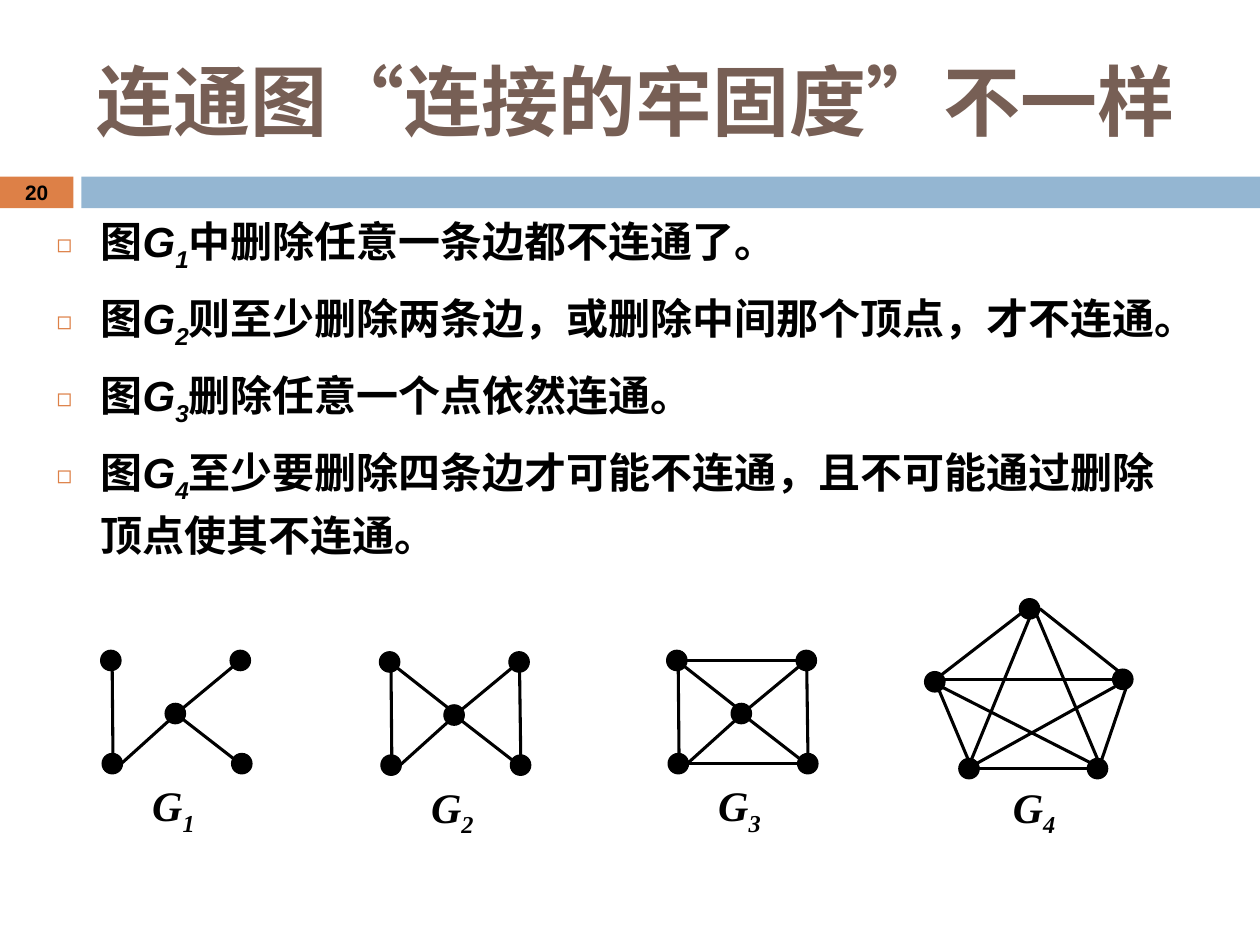
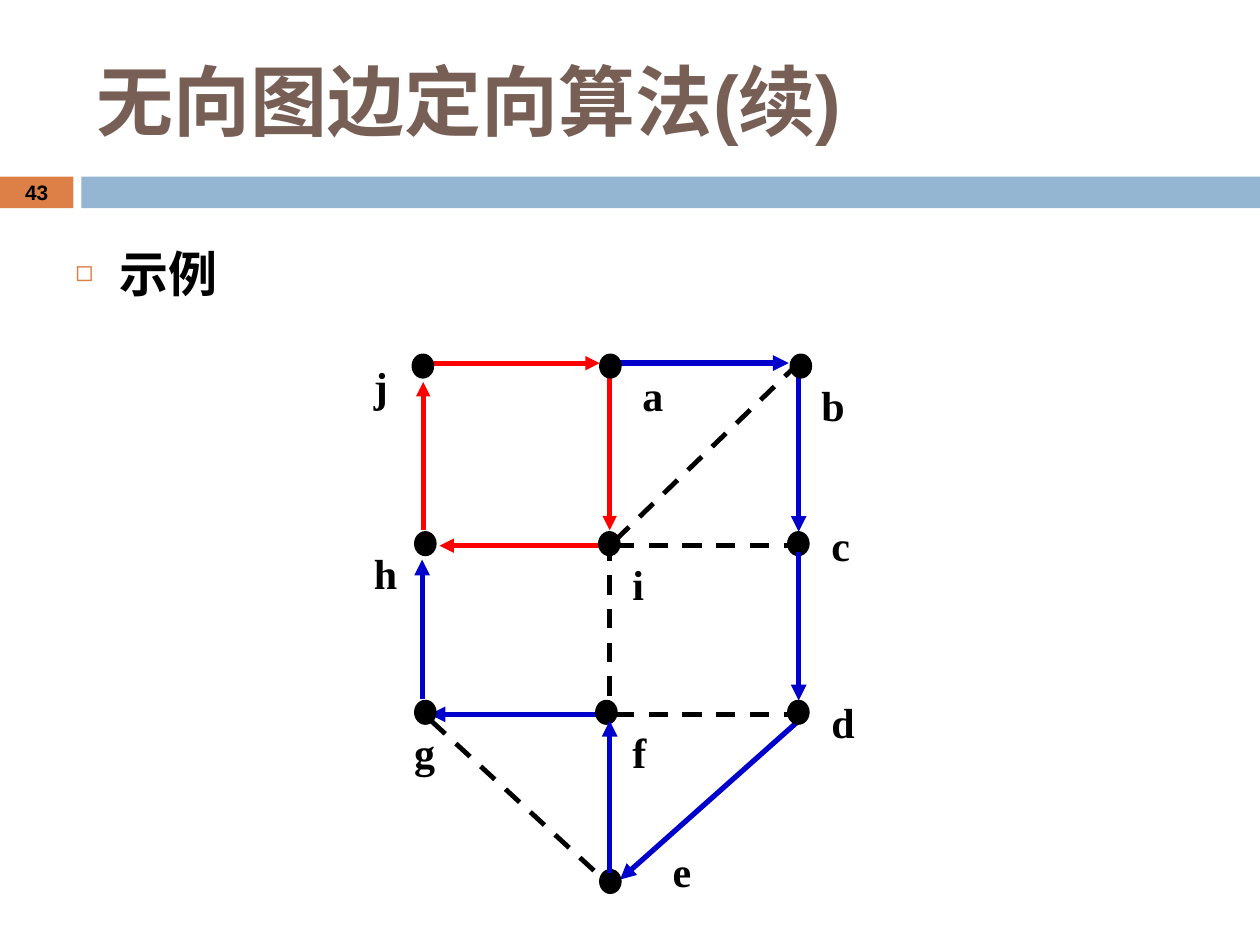
from lxml import etree
from pptx import Presentation
from pptx.dml.color import RGBColor
from pptx.enum.dml import MSO_LINE
from pptx.enum.lang import MSO_LANGUAGE_ID
from pptx.enum.shapes import MSO_CONNECTOR, MSO_SHAPE
from pptx.enum.text import MSO_ANCHOR, PP_ALIGN
from pptx.oxml.ns import qn
from pptx.util import Cm, Pt

STRAIGHT = MSO_CONNECTOR.STRAIGHT
RECTANGLE, OVAL = MSO_SHAPE.RECTANGLE, MSO_SHAPE.OVAL
DISC, CALLOUT = MSO_SHAPE.FLOWCHART_CONNECTOR, MSO_SHAPE.RECTANGULAR_CALLOUT
TOP, MIDDLE = MSO_ANCHOR.TOP, MSO_ANCHOR.MIDDLE
LEFT, CENTER = PP_ALIGN.LEFT, PP_ALIGN.CENTER
DASH = MSO_LINE.DASH
CHINESE = MSO_LANGUAGE_ID.SIMPLIFIED_CHINESE

COLORS = {"orange": "DD8047", "band": "94B6D2", "title": "775F55",
          "black": "000000", "red": "FF0000", "blue": "0000CC"}
SANS, SERIF = "Arial", "Times New Roman"

# Slide 1: statements about the graphs G1 to G4
STATEMENTS = [
    "中删除任意一条边都不连通了。",
    "则至少删除两条边，或删除中间那个顶点，才不连通。",
    "删除任意一个点依然连通。",
    "至少要删除四条边才可能不连通，且不可能通过删除顶点使其不连通。",
]

# Four corners and a centre, with the edges that G1 to G3 choose from
SQUARE_NODES = [(0, 0), (2.61, 0), (0.03, 2.08), (2.64, 2.08), (1.3, 1.07)]
SQUARE_EDGES = {
    "left": (0.25, 2.31, 0.23, 0.1),
    "right": (2.85, 2.29, 2.82, 0.08),
    "top": (0.41, 0.2, 2.62, 0.2),
    "bottom": (0.43, 2.29, 2.64, 2.29),
    "upper left": (0.2, 0.2, 1.37, 1.12),
    "upper right": (2.82, 0.2, 1.65, 1.17),
    "lower left": (0.43, 2.27, 1.65, 1.17),
    "lower right": (1.4, 1.19, 2.97, 2.41),
}
TREE = ["left", "upper right", "lower left", "lower right"]
BOW_TIE = TREE + ["right", "upper left"]
WHEEL = BOW_TIE + ["top", "bottom"]
SQUARE_GRAPHS = [((2.03, 13.11), TREE), ((7.65, 13.14), BOW_TIE),
                 ((13.44, 13.11), WHEEL)]
SQUARE_LABEL = (0.79, 2.48)

# G4, the complete graph on five nodes
PENTAGON_NODES = [(20.55, 12.07), (22.43, 13.49), (21.92, 15.29),
                  (19.33, 15.29), (18.64, 13.54)]
PENTAGON_EDGES = [
    (18.97, 13.61, 20.9, 12.12), (20.96, 12.27, 22.56, 13.54),
    (22.15, 15.49, 22.71, 13.84), (19.71, 15.49, 21.92, 15.49),
    (18.92, 13.89, 19.66, 15.65), (19, 13.69, 22.83, 13.69),
    (19.51, 15.49, 20.75, 12.47), (20.9, 12.4, 22.12, 15.29),
    (18.97, 13.84, 21.97, 15.37), (19.51, 15.49, 22.48, 13.84),
]
PENTAGON_LABEL = (20.17, 15.62)

# Slide 2: each vertex has a node place and a label place
VERTICES = {
    "a": ((12.09, 7.14), (12.7, 7.32)),
    "b": ((15.93, 7.14), (16.31, 7.52)),
    "c": ((15.88, 10.72), (16.51, 10.34)),
    "d": ((15.88, 14.12), (16.51, 13.92)),
    "e": ((12.09, 17.53), (13.31, 16.92)),
    "f": ((12.01, 14.12), (12.5, 14.53)),
    "g": ((8.36, 14.12), (8.1, 14.53)),
    "h": ((8.36, 10.72), (7.29, 10.92)),
    "i": ((12.07, 10.72), (12.5, 11.13)),
    "j": ((8.31, 7.14), (7.29, 7.14)),
}
EDGE_STYLES = {
    "cycle": {"color": "red", "width": 2.75, "arrow": True},
    "path": {"color": "blue", "width": 3, "arrow": True},
    "open": {"color": "black", "width": 2.75, "dashed": True},
}
EDGES_BELOW = {
    "open": [(16.1, 7.32, 12.29, 11), (12.4, 11, 16.03, 11),
             (12.4, 14.4, 16.03, 14.4), (8.69, 14.53, 12.17, 17.73),
             (12.29, 10.92, 12.29, 14.53)],
    "cycle": [(12.5, 11, 8.86, 11), (8.53, 10.69, 8.53, 7.7),
              (8.69, 7.32, 12.09, 7.32), (12.29, 7.49, 12.29, 10.69)],
    "path": [(12.5, 7.32, 15.9, 7.32), (16.1, 7.52, 16.1, 10.72),
             (16.1, 14.53, 12.5, 17.73), (12.29, 14.4, 8.66, 14.4),
             (8.51, 14.1, 8.51, 11.28)],
}
EDGES_ABOVE = {"path": [(16.1, 11.13, 16.1, 14.12),
                        (12.29, 17.6, 12.29, 14.53)]}


def rgb(name):
    return RGBColor.from_string(COLORS[name])


def add_span(para, text, *, size, font=SANS, color="black", italic=False,
             subscript=False):
    """Append bold text to a paragraph."""
    span = para.add_run()
    span.text = text
    span.font.name, span.font.size = font, Pt(size)
    span.font.bold, span.font.italic = True, italic
    span.font.color.rgb = rgb(color)
    span.font.language_id = CHINESE
    if subscript:
        span._r.get_or_add_rPr().set("baseline", "-25000")


def add_graph_name(para, number, font=SANS):
    add_span(para, "G", size=24, font=font, italic=True)
    add_span(para, str(number), size=24, font=font, italic=True, subscript=True)


def add_bullet(para):
    """Give a paragraph a hanging orange square."""
    props = para._p.get_or_add_pPr()
    props.set("marL", str(Cm(0.89)))
    props.set("indent", str(-Cm(0.89)))
    color = etree.SubElement(props, qn("a:buClr"))
    etree.SubElement(color, qn("a:srgbClr"), val=COLORS["orange"])
    etree.SubElement(props, qn("a:buSzPct"), val="60000")
    etree.SubElement(props, qn("a:buFont"), typeface=SANS)
    etree.SubElement(props, qn("a:buChar"), char="◻")


class Painter:
    """Holds the deck's style and the current page."""

    def __init__(self):
        self.deck = Presentation()
        self.deck.slide_width, self.deck.slide_height = Cm(25.4), Cm(19.05)
        self.page = None

    def start_page(self, title, number):
        self.page = self.deck.slides.add_slide(self.deck.slide_layouts[6])
        self.shape(RECTANGLE, 0, 3.56, 1.48, 0.64, fill="orange")
        self.shape(RECTANGLE, 1.64, 3.56, 23.76, 0.64, fill="band")
        heading = self.text_box(1.7, 0.64, 22.66, 2.74, anchor=MIDDLE)
        add_span(heading.paragraphs[0], title, size=44, color="title")
        counter = self.text_box(0, 3.53, 1.48, 0.69, anchor=MIDDLE)
        counter.paragraphs[0].alignment = CENTER
        add_span(counter.paragraphs[0], str(number), size=11.9)

    def shape(self, kind, left, top, width, height, fill=None, outline=None):
        shape = self.page.shapes.add_shape(
            kind, Cm(left), Cm(top), Cm(width), Cm(height))
        shape.shadow.inherit = False
        if fill:
            shape.fill.solid()
            shape.fill.fore_color.rgb = rgb(fill)
        else:
            shape.fill.background()
        if outline:
            shape.line.color.rgb = rgb(outline)
            shape.line.width = Pt(0.75)
        else:
            shape.line.fill.background()
        return shape

    def node(self, kind, left, top, width, height):
        self.shape(kind, left, top, width, height, fill="black", outline="black")

    def text_box(self, left, top, width, height, anchor=TOP):
        box = self.page.shapes.add_textbox(
            Cm(left), Cm(top), Cm(width), Cm(height))
        frame = box.text_frame
        frame.word_wrap = True
        frame.vertical_anchor = anchor
        return frame

    def edge(self, ends, color="black", width=1.75, arrow=False, dashed=False):
        edge = self.page.shapes.add_connector(STRAIGHT, *map(Cm, ends))
        edge.line.color.rgb = rgb(color)
        edge.line.width = Pt(width)
        if dashed:
            edge.line.dash_style = DASH
        props = edge._element.spPr
        if arrow:
            etree.SubElement(props.find(qn("a:ln")), qn("a:tailEnd"),
                             type="triangle")
        etree.SubElement(props, qn("a:effectLst"))

    def edges(self, groups):
        for style, lines in groups.items():
            for ends in lines:
                self.edge(ends, **EDGE_STYLES[style])

    def graph(self, number, nodes, edges, label, origin=(0, 0)):
        x, y = origin
        for x1, y1, x2, y2 in edges:
            self.edge((x + x1, y + y1, x + x2, y + y2))
        for left, top in nodes:
            self.node(DISC, x + left, y + top, 0.41, 0.41)
        caption = self.shape(CALLOUT, x + label[0], y + label[1], 2.01, 1.4)
        frame = caption.text_frame
        frame.word_wrap = False
        frame.vertical_anchor = TOP
        frame.paragraphs[0].alignment = LEFT
        add_graph_name(frame.paragraphs[0], number, font=SERIF)


def draw_connectivity(painter):
    painter.start_page("连通图“连接的牢固度”不一样", 20)
    body = painter.text_box(0.89, 4.11, 22.86, 7.01)
    for number, statement in enumerate(STATEMENTS, 1):
        para = body.paragraphs[0] if number == 1 else body.add_paragraph()
        para.line_spacing, para.space_before = 1.1, Pt(8)
        add_bullet(para)
        add_span(para, "图", size=24)
        add_graph_name(para, number)
        add_span(para, statement, size=24)

    for number, (origin, names) in enumerate(SQUARE_GRAPHS, 1):
        painter.graph(number, SQUARE_NODES, [SQUARE_EDGES[n] for n in names],
                      SQUARE_LABEL, origin)
    painter.graph(4, PENTAGON_NODES, PENTAGON_EDGES, PENTAGON_LABEL)


def draw_orientation(painter):
    painter.start_page("无向图边定向算法(续)", 43)
    para = painter.text_box(1.27, 4.78, 22.86, 1.75).paragraphs[0]
    para.space_before = Pt(7)
    add_bullet(para)
    add_span(para, "示例", size=28)

    painter.edges(EDGES_BELOW)
    for name, (place, label) in VERTICES.items():
        painter.node(OVAL, *place, 0.43, 0.48)
        caption = painter.text_box(*label, 0.99, 1.27)
        add_span(caption.paragraphs[0], name, size=24, font=SERIF)
    painter.edges(EDGES_ABOVE)


def main():
    painter = Painter()
    draw_connectivity(painter)
    draw_orientation(painter)
    painter.deck.save("out.pptx")


if __name__ == "__main__":
    main()
